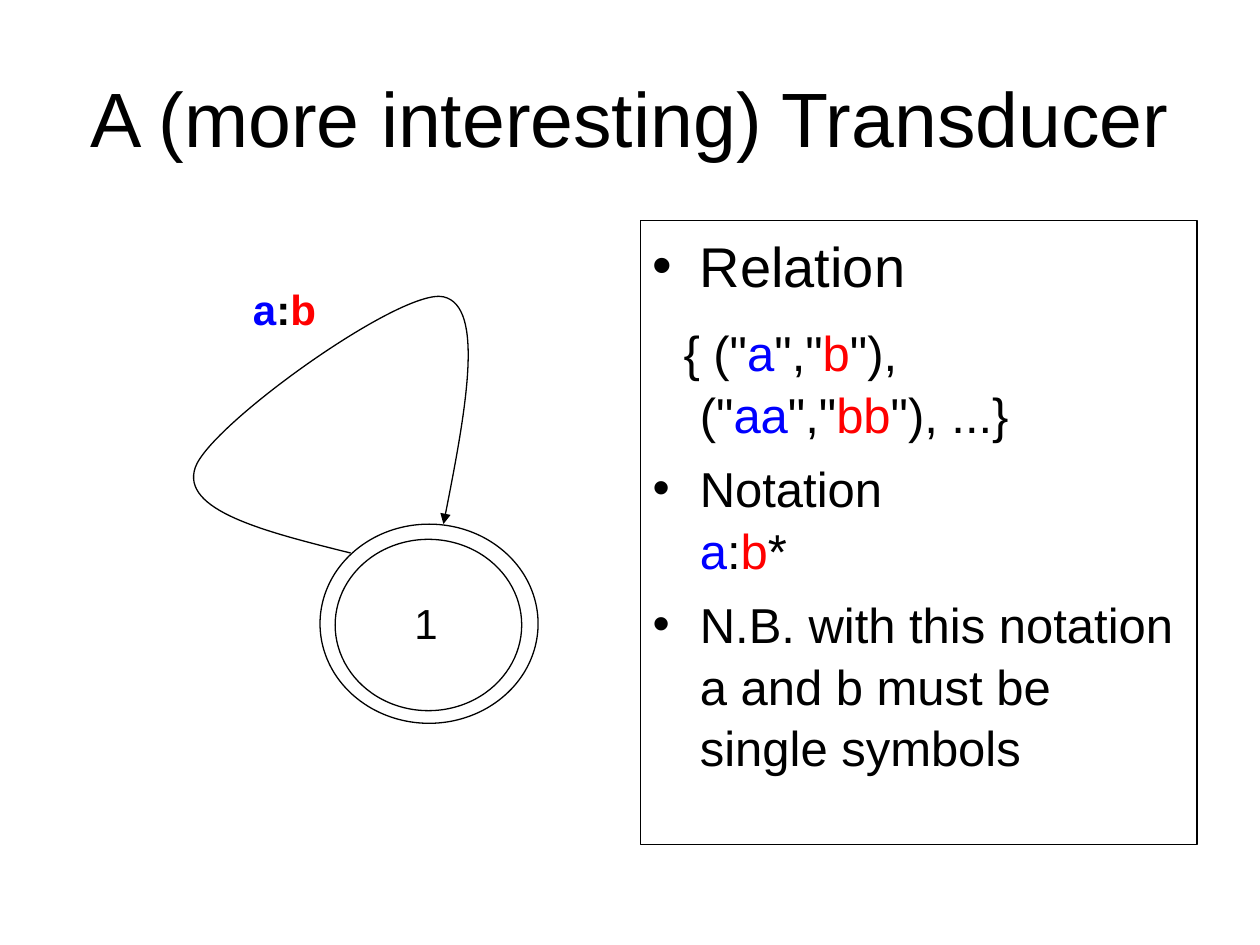
from lxml.etree import SubElement
from pptx import Presentation
from pptx.dml.color import RGBColor
from pptx.enum.shapes import MSO_SHAPE
from pptx.enum.text import MSO_ANCHOR, PP_ALIGN
from pptx.oxml.ns import qn
from pptx.util import Pt

BLACK = RGBColor(0, 0, 0)
BLUE = RGBColor(0, 0, 255)
RED = RGBColor(255, 0, 0)
FONT = "Arial"
LINE_WIDTH = 0.75
INDENT = 27

TITLE = "A (more interesting) Transducer"
BODY = [
    {"size": 32, "before": 0, "first": -INDENT, "bullet": True,
     "spans": [("Relation", BLACK)]},
    {"size": 28, "before": 12, "first": -9.3, "bullet": False,
     "spans": [('{ ("', BLACK), ("a", BLUE), ('","', BLACK), ("b", RED),
               ('"), ("', BLACK), ("aa", BLUE), ('","', BLACK),
               ("bb", RED), ('"), ...}', BLACK)]},
    {"size": 28, "before": 7, "first": -INDENT, "bullet": True,
     "spans": [("Notation\n", BLACK), ("a", BLUE), (":", BLACK),
               ("b", RED), ("*", BLACK)]},
    {"size": 28, "before": 7, "first": -INDENT, "bullet": True,
     "spans": [("N.B. with this notation a and b must be single symbols", BLACK)]},
]
LABELS = [
    ((229.7, 337.7, 27.4, 36), False, [("1", BLACK)]),
    ((137.5, 158.4, 50.4, 36), True, [("a", BLUE), (":", BLACK), ("b", RED)]),
]
STATE_RINGS = [(191.5, 308.2, 106.6, 97.9), (182.9, 299.5, 124.6, 113.8)]
LOOP_START = (200.4, 316)
LOOP_CURVES = [
    [(151.2, 303.8), (103, 291.6), (111.6, 267.1)],
    [(120.2, 242.6), (229.7, 164.2), (253.4, 169.6)],
    [(277.2, 175), (265.7, 237.6), (253.4, 299.5)],
]


def points(values):
    return [Pt(value) for value in values]


def outline(shape):
    shape.shadow.inherit = False
    shape.fill.background()
    shape.line.color.rgb = BLACK
    shape.line.width = Pt(LINE_WIDTH)


def write(para, spans, size, bold=False):
    para.font.name = FONT
    para.font.size = Pt(size)
    para.font.bold = bold
    for text, color in spans:
        pieces = text.split("\n")
        for index, piece in enumerate(pieces):
            if index:
                para.add_line_break()
            if piece:
                span = para.add_run()
                span.text = piece
                span.font.color.rgb = color


def set_indent(para, first, bullet):
    properties = para._p.get_or_add_pPr()
    properties.set("marL", str(Pt(INDENT)))
    properties.set("indent", str(Pt(first)))
    if bullet:
        color = SubElement(properties, qn("a:buClr"))
        SubElement(color, qn("a:srgbClr"), val=str(BLACK))
        SubElement(properties, qn("a:buFont"), typeface=FONT)
        SubElement(properties, qn("a:buChar"), char="•")
    else:
        SubElement(properties, qn("a:buNone"))


def add_title(page):
    box = page.shapes.add_textbox(*points((36, 21.6, 648, 90)))
    frame = box.text_frame
    frame.word_wrap = True
    frame.vertical_anchor = MSO_ANCHOR.MIDDLE
    para = frame.paragraphs[0]
    para.alignment = PP_ALIGN.CENTER
    write(para, [(TITLE, BLACK)], 44)


def add_body(page):
    box = page.shapes.add_shape(MSO_SHAPE.RECTANGLE, *points((365.8, 126, 318.2, 356.4)))
    outline(box)
    frame = box.text_frame
    frame.word_wrap = True
    frame.vertical_anchor = MSO_ANCHOR.TOP
    frame.margin_top = Pt(4.5)
    for index, item in enumerate(BODY):
        para = frame.add_paragraph() if index else frame.paragraphs[0]
        para.alignment = PP_ALIGN.LEFT
        para.line_spacing = 1.05
        para.space_before = Pt(item["before"])
        set_indent(para, item["first"], item["bullet"])
        write(para, item["spans"], item["size"])


def add_loop(page):
    builder = page.shapes.build_freeform(*points(LOOP_START))
    for curve in LOOP_CURVES:
        builder.add_line_segments([points(point) for point in curve], close=False)
    loop = builder.convert_to_shape()
    outline(loop)
    route = loop._element.find(".//" + qn("a:path"))
    segments = route.findall(qn("a:lnTo"))
    for start in range(0, len(segments), 3):
        bezier = SubElement(route, qn("a:cubicBezTo"))
        for segment in segments[start:start + 3]:
            bezier.append(segment[0])
            route.remove(segment)
    SubElement(loop.line._get_or_add_ln(), qn("a:tailEnd"), type="triangle")


def main():
    deck = Presentation()
    deck.slide_width, deck.slide_height = Pt(720), Pt(540)
    page = deck.slides.add_slide(deck.slide_layouts[6])
    add_title(page)
    add_body(page)
    for ring in STATE_RINGS:
        outline(page.shapes.add_shape(MSO_SHAPE.OVAL, *points(ring)))
    add_loop(page)
    for place, bold, spans in LABELS:
        label = page.shapes.add_textbox(*points(place))
        label.text_frame.word_wrap = False
        write(label.text_frame.paragraphs[0], spans, 24, bold)
    deck.save("out.pptx")


if __name__ == "__main__":
    main()
